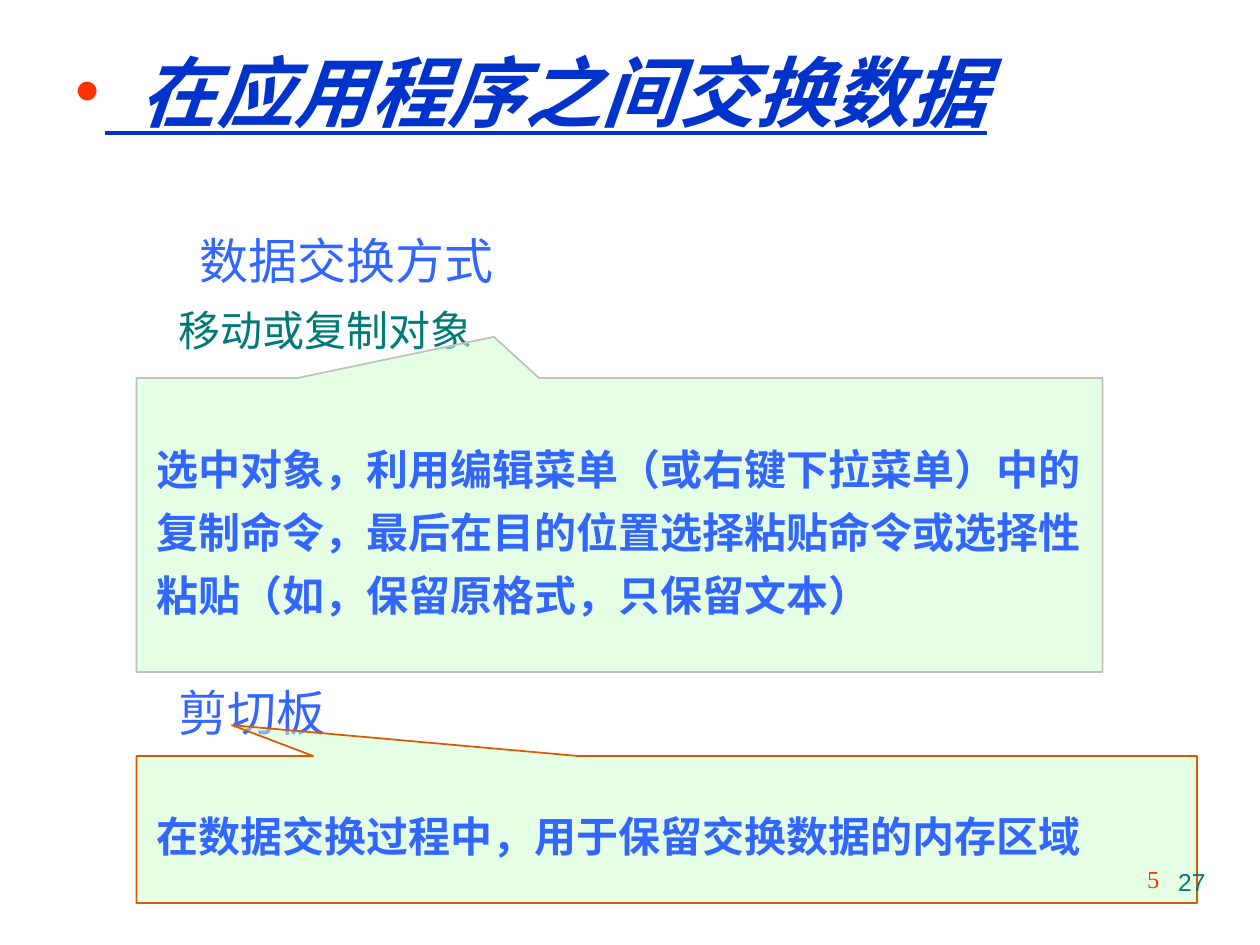
import pptx
import pptx.util
import pptx.dml.color
import pptx.enum.shapes
import pptx.enum.text
import pptx.oxml
import pptx.oxml.ns
import lxml.etree

HUES = {"title": "0033CC", "bullet": "FF3300", "blue": "3366FF",
        "teal": "007A77", "mint": "CCFFCC", "gray": "C0C0C0", "rust": "DC5900"}
SANS = "Noto Sans CJK SC"
SERIF = "Times New Roman"
Anchor = pptx.enum.text.MSO_ANCHOR
Align = pptx.enum.text.PP_ALIGN

deck = pptx.Presentation()
deck.slide_width = pptx.util.Inches(10)
deck.slide_height = pptx.util.Inches(7.5)
UNIT = deck.slide_width / 120  # grid of 120 columns by 90 rows


def grid(*cells):
    return [round(cell * UNIT) for cell in cells]


def write(shape, text, size, face, hue, inset=(0, 0)):
    frame = shape.text_frame
    frame.word_wrap = True
    frame.margin_left = frame.margin_right = pptx.util.Inches(inset[0])
    frame.margin_top = frame.margin_bottom = pptx.util.Inches(inset[1])
    par = frame.paragraphs[0]
    par.text = text
    par.alignment = Align.LEFT
    par.font.size = pptx.util.Pt(size)
    par.font.name = face
    par.font.color.rgb = pptx.dml.color.RGBColor.from_string(HUES[hue])
    return par


slide = deck.slides.add_slide(deck.slide_layouts[5])

# Title with a red bullet; the underline runs below the leading gap
title = slide.shapes.title
title.left, title.top, title.width, title.height = grid(6, 3.6, 108, 10)
title.text_frame.vertical_anchor = Anchor.MIDDLE
par = write(title, "  在应用程序之间交换数据", 44, "Arial", "title", (0.1, 0.05))
par.font.bold = par.font.italic = par.font.underline = True
props = par._p.get_or_add_pPr()
props.set("marL", str(pptx.util.Inches(0.23)))
props.set("indent", str(-pptx.util.Inches(0.23)))
space = pptx.oxml.ns.nsdecls("a")
marks = (f'<a:buClr {space}><a:srgbClr val="{HUES["bullet"]}"/></a:buClr>',
         f'<a:buSzPct {space} val="90000"/>',
         f'<a:buFont {space} typeface="Arial"/>',
         f'<a:buChar {space} char="•"/>')
for spot, mark in enumerate(marks):
    props.insert(spot, pptx.oxml.parse_xml(mark))

# Headings: text, column, row, width, height, size, colour
heads = [("数据交换方式", 19, 22, 36, 5.6, 28, "blue"),
         ("剪切板", 17, 65, 36, 5.6, 28, "blue"),
         ("移动或复制对象", 17, 29, 54, 4.8, 24, "teal")]
for text, col, row, wide, high, size, hue in heads:
    box = slide.shapes.add_textbox(*grid(col, row, wide, high))
    write(box, text, size, SERIF, hue)

# Callouts: text, row, width, height, tip offsets, line colour
notes = [("选中对象，利用编辑菜单（或右键下拉菜单）中的复制命令，"
          "最后在目的位置选择粘贴命令或选择性粘贴（如，保留原格式，只保留文本）",
          36, 92, 28, (-0.13, -0.64), "gray"),
         ("在数据交换过程中，用于保留交换数据的内存区域",
          72, 101, 14, (-0.41, -0.71), "rust")]
for text, row, wide, high, tip, edge in notes:
    note = slide.shapes.add_shape(
        pptx.enum.shapes.MSO_SHAPE.RECTANGULAR_CALLOUT, *grid(13, row, wide, high))
    note.shadow.inherit = False
    note.adjustments[0], note.adjustments[1] = tip
    note.fill.solid()
    note.fill.fore_color.rgb = pptx.dml.color.RGBColor.from_string(HUES["mint"])
    tint = note.fill._xPr.find(".//" + pptx.oxml.ns.qn("a:srgbClr"))
    lxml.etree.SubElement(tint, pptx.oxml.ns.qn("a:alpha")).set("val", "50000")
    note.line.color.rgb = pptx.dml.color.RGBColor.from_string(HUES[edge])
    note.line.width = pptx.util.Pt(1)
    note.text_frame.vertical_anchor = Anchor.MIDDLE
    par = write(note, text, 24, SANS, "blue", (0.16, 0.05))
    par.font.bold = True
    par.line_spacing = 1.25

# Page numbers: text, column, row, width, font, colour
pages = [("5", 99.6, 81.7, 12, SERIF, "bullet"),
         ("27", 86, 82, 30, "Arial", "teal")]
for text, col, row, wide, face, hue in pages:
    box = slide.shapes.add_textbox(*grid(col, row, wide, 6))
    write(box, text, 14, face, hue, (0.1, 0.05)).alignment = Align.RIGHT

deck.save("out.pptx")
